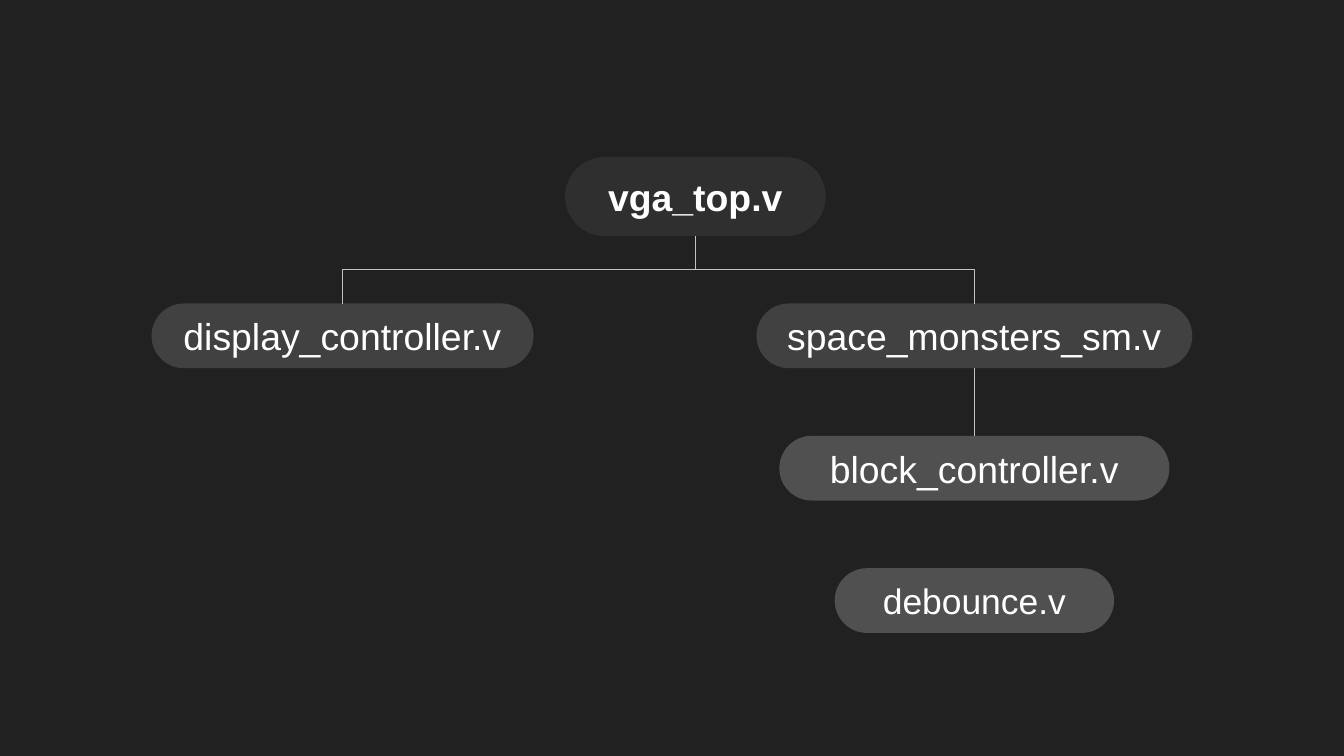
from lxml import etree
from pptx import Presentation
from pptx.dml.color import RGBColor
from pptx.enum import shapes, text
from pptx.oxml.ns import qn
from pptx.util import Pt

MODULE_H = 34.7
ROW_TOP = 162.6
ROW_PITCH = 70.9


def color(hex_value):
    return RGBColor.from_string(hex_value)


def add_module(slide, name, center, top, width, fill, height=MODULE_H, size=20, bold=False):
    """Draw one pill and return its (centre, top, bottom) in points."""
    pill = slide.shapes.add_shape(
        shapes.MSO_SHAPE.ROUNDED_RECTANGLE,
        Pt(center - width / 2), Pt(top), Pt(width), Pt(height))
    pill.adjustments[0] = 0.5
    pill.shadow.inherit = False
    pill.fill.solid()
    pill.fill.fore_color.rgb = color(fill)
    pill.line.fill.background()

    frame = pill.text_frame
    frame.word_wrap = True
    frame.vertical_anchor = text.MSO_ANCHOR.MIDDLE
    frame.margin_left = frame.margin_right = Pt(7.2)
    frame.margin_top = frame.margin_bottom = Pt(7.2)
    label = frame.paragraphs[0]
    label.alignment = text.PP_ALIGN.CENTER
    run = label.add_run()
    run.text = name
    run.font.name = "Arial"
    run.font.size = Pt(size)
    run.font.bold = bold
    run.font.color.rgb = color("FFFFFF")
    return center, top, top + height


def add_link(slide, parent, child):
    """Draw an elbow from the parent's bottom to the child's top."""
    (x1, _, y1), (x2, y2, _) = parent, child
    mid_x, mid_y = (x1 + x2) / 2, (y1 + y2) / 2
    half_run, half_drop = abs(x2 - x1) / 2, (y2 - y1) / 2
    # An elbow leaves sideways, so it is laid out on its side and turned
    turn, side = (90, -1) if x2 < x1 else (270, 1)
    link = slide.shapes.add_connector(
        shapes.MSO_CONNECTOR.ELBOW,
        Pt(mid_x + side * half_drop), Pt(mid_y - half_run),
        Pt(mid_x - side * half_drop), Pt(mid_y + half_run))
    properties = link._element.spPr
    properties.find(qn("a:xfrm")).set("rot", str(turn * 60000))
    link.line.color.rgb = color("C2C2C2")
    link.line.width = Pt(0.75)
    etree.SubElement(properties, qn("a:effectLst"))


def main():
    deck = Presentation()
    deck.slide_width, deck.slide_height = Pt(720), Pt(405)
    slide = deck.slides.add_slide(deck.slide_layouts[6])
    slide.background.fill.solid()
    slide.background.fill.fore_color.rgb = color("212121")

    # Module hierarchy
    left, right = 183.5, 522
    rows = [ROW_TOP + i * ROW_PITCH for i in range(3)]
    top_module = add_module(slide, "vga_top.v", 372.5, 84.2, 139.6, "2F2F2F",
                            height=42.3, bold=True)
    game = add_module(slide, "space_monsters_sm.v", right, rows[0], 233.5, "414141")
    display = add_module(slide, "display_controller.v", left, rows[0], 204.7, "414141")
    block = add_module(slide, "block_controller.v", right, rows[1], 209, "505050")

    # Links from parent to child
    for parent, child in ((top_module, game), (top_module, display), (game, block)):
        add_link(slide, parent, child)

    # Unlinked helper module
    add_module(slide, "debounce.v", right, rows[2], 149.7, "505050", size=19)

    deck.save("out.pptx")


if __name__ == "__main__":
    main()
